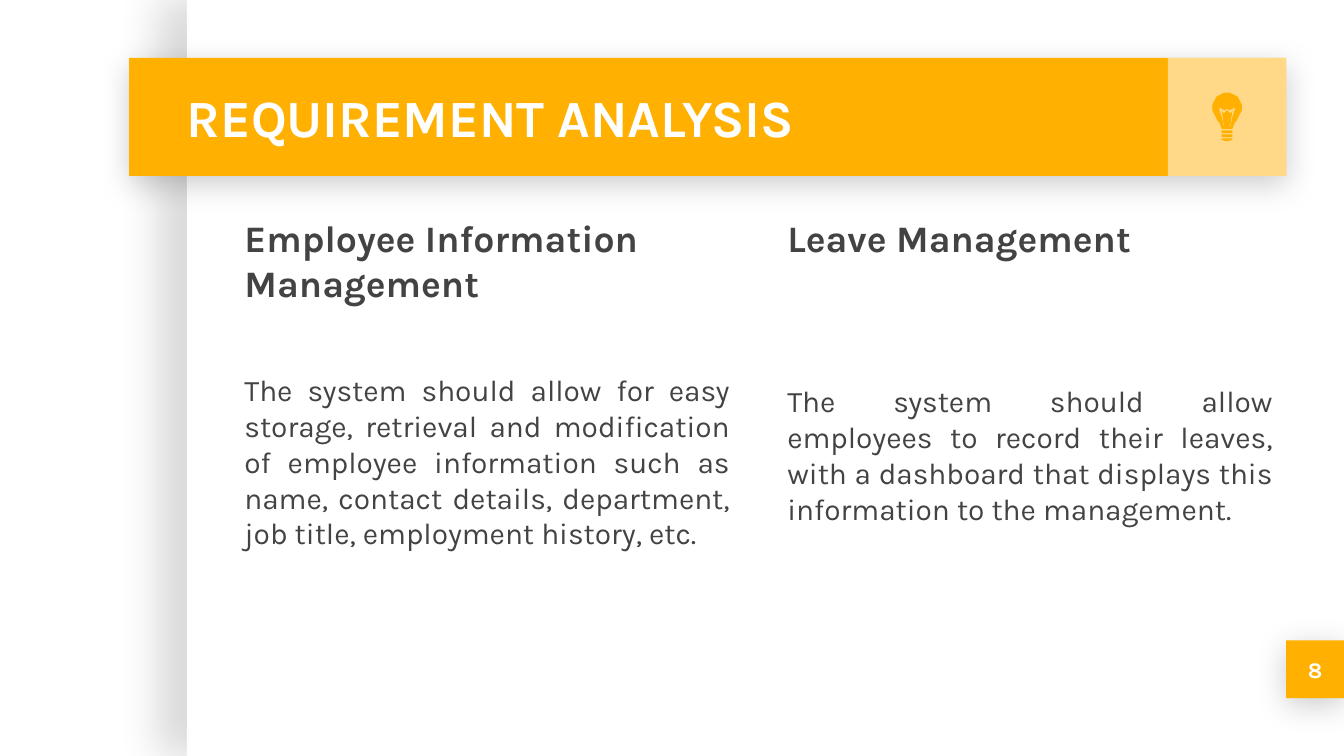
from lxml.etree import SubElement
from pptx import Presentation
from pptx.dml.color import RGBColor
from pptx.enum.shapes import MSO_SHAPE
from pptx.enum.text import MSO_ANCHOR, PP_ALIGN
from pptx.oxml.ns import qn
from pptx.util import Inches, Pt

AMBER = RGBColor(0xFF, 0xB0, 0x00)
WHITE = RGBColor(0xFF, 0xFF, 0xFF)
GREY = RGBColor(0x43, 0x43, 0x43)
FONT = "Karla"

# Content
TITLE = "REQUIREMENT ANALYSIS"
PAGE = "8"
COLUMNS = [  # heading, text, gap between them in points
    ("Employee Information Management",
     "The system should allow for easy storage, retrieval and modification of "
     "employee information such as name, contact details, department, job title, "
     "employment history, etc.", 36),
    ("Leave Management",
     "The system should allow employees to record their leaves, with a dashboard "
     "that displays this information to the management.", 66),
]

# Layout in inches, on a 16:9 slide
SLIDE_W = 10
SLIDE_H = SLIDE_W * 9 / 16
PANEL_LEFT = 1.39
COL_LEFT, COL_TOP, COL_W, COL_H, COL_STEP = 1.72, 1.5, 3.81, 3.7, 4.04
BAND_LEFT, BAND_TOP, BAND_W, BAND_H = 0.96, 0.43, 8.61, 0.88
BAND_RIGHT = BAND_LEFT + BAND_W
BADGE = SLIDE_W - BAND_RIGHT

# Shadows: opacity %, blur pt, distance pt, direction in degrees
PAGE_SHADOW = (15, 22.5, 15, 180)
BAND_SHADOW = (20, 16.9, 3.8, 90)

# Left halves of the bulb parts, hundredths of an inch from its axis
BULB_HALVES = [
    [(0, 100), (-4.5, 100), (-4.5, 102), (0, 102)],
    [(0, 97), (-4.5, 97), (-4.5, 99), (0, 99)],
    [(0, 103), (-4.5, 103), (-4.5, 104), (-4, 104), (-1, 105), (0, 105)],
    [(0, 82), (-1.5, 83.5), (-2.5, 84), (-3, 83.5), (-4, 82), (-1.5, 96), (0, 96)],
    [(0, 69), (-2, 69), (-4, 70), (-6, 71), (-8, 72), (-9, 74), (-10.5, 76),
     (-11, 78), (-11.3, 80), (-11, 82), (-10, 84), (-9, 86), (-8, 88), (-7, 90),
     (-6, 91), (-5, 93), (-4.5, 96), (-2.5, 96), (-4, 87), (-5.5, 81), (-5, 80.5),
     (-4, 81), (-2.5, 82), (-0.5, 81), (0, 80.5)],
]


def add_text(tf, text, size=16, color=GREY, bold=False, align=PP_ALIGN.LEFT,
             before=0, new=False):
    p = tf.add_paragraph() if new else tf.paragraphs[0]
    p.alignment, p.space_before = align, Pt(before)
    r = p.add_run()
    r.text = text
    f = r.font
    f.name, f.size, f.bold = FONT, Pt(size), bold
    f.color.rgb = color


def set_frame(tf, anchor):
    tf.word_wrap, tf.vertical_anchor = True, anchor
    tf.margin_left = tf.margin_right = tf.margin_top = tf.margin_bottom = Inches(0.1)


def paint(sp, color):
    sp.shadow.inherit = False
    sp.fill.solid()
    sp.fill.fore_color.rgb = color
    sp.line.fill.background()


def add_rect(s, x, y, w, h, color, shadow=None):
    sp = s.shapes.add_shape(MSO_SHAPE.RECTANGLE, Inches(x), Inches(y),
                            Inches(w), Inches(h))
    paint(sp, color)
    if shadow:
        opacity, blur, dist, angle = shadow
        effects = sp.element.spPr.find(qn("a:effectLst"))
        outer = SubElement(effects, qn("a:outerShdw"), blurRad=str(Pt(blur)),
                           dist=str(Pt(dist)), dir=str(angle * 60000),
                           algn="bl", rotWithShape="0")
        clr = SubElement(outer, qn("a:srgbClr"), val="000000")
        SubElement(clr, qn("a:alpha"), val=str(opacity * 1000))
    return sp


prs = Presentation()
prs.slide_width, prs.slide_height = Inches(SLIDE_W), Inches(SLIDE_H)
s = prs.slides.add_slide(prs.slide_layouts[5])

# Page panel, title band and icon tile
add_rect(s, PANEL_LEFT, 0, SLIDE_W - PANEL_LEFT, SLIDE_H, WHITE, PAGE_SHADOW)
add_rect(s, BAND_LEFT, BAND_TOP, BAND_W, BAND_H, AMBER, BAND_SHADOW)
tile = add_rect(s, BAND_RIGHT - BAND_H, BAND_TOP, BAND_H, BAND_H, WHITE)
tile_clr = tile.element.spPr.find(qn("a:solidFill")).find(qn("a:srgbClr"))
SubElement(tile_clr, qn("a:alpha"), val="53000")

# Title, brought in front of the band
title = s.shapes.title
title.left, title.top = Inches(1.29), Inches(BAND_TOP)
title.width, title.height = Inches(7.37), Inches(BAND_H)
set_frame(title.text_frame, MSO_ANCHOR.MIDDLE)
add_text(title.text_frame, TITLE, size=28, color=WHITE, bold=True, before=4.7)
s.shapes.element.append(title.element)

# Two columns
for i, (heading, text, gap) in enumerate(COLUMNS):
    box = s.shapes.add_textbox(Inches(COL_LEFT + i * COL_STEP), Inches(COL_TOP),
                               Inches(COL_W), Inches(COL_H))
    tf = box.text_frame
    set_frame(tf, MSO_ANCHOR.TOP)
    add_text(tf, heading, size=20, bold=True, before=6)
    add_text(tf, text, align=PP_ALIGN.JUSTIFY, before=gap, new=True)

# Page number, its own height above the bottom edge
badge = add_rect(s, BAND_RIGHT, SLIDE_H - 2 * BADGE, BADGE, BADGE, AMBER, BAND_SHADOW)
set_frame(badge.text_frame, MSO_ANCHOR.MIDDLE)
add_text(badge.text_frame, PAGE, size=12, color=WHITE, bold=True,
         align=PP_ALIGN.CENTER)

# Light bulb: each half is mirrored about the tile's axis
bulb = s.shapes.add_group_shape()
axis = Inches(BAND_RIGHT - BAND_H / 2)
for half in BULB_HALVES:
    points = half + [(-x, y) for x, y in reversed(half)]
    fb = bulb.shapes.build_freeform(*points[0], scale=Inches(0.01))
    fb.add_line_segments(points[1:], close=True)
    paint(fb.convert_to_shape(axis, 0), AMBER)

prs.save("out.pptx")
